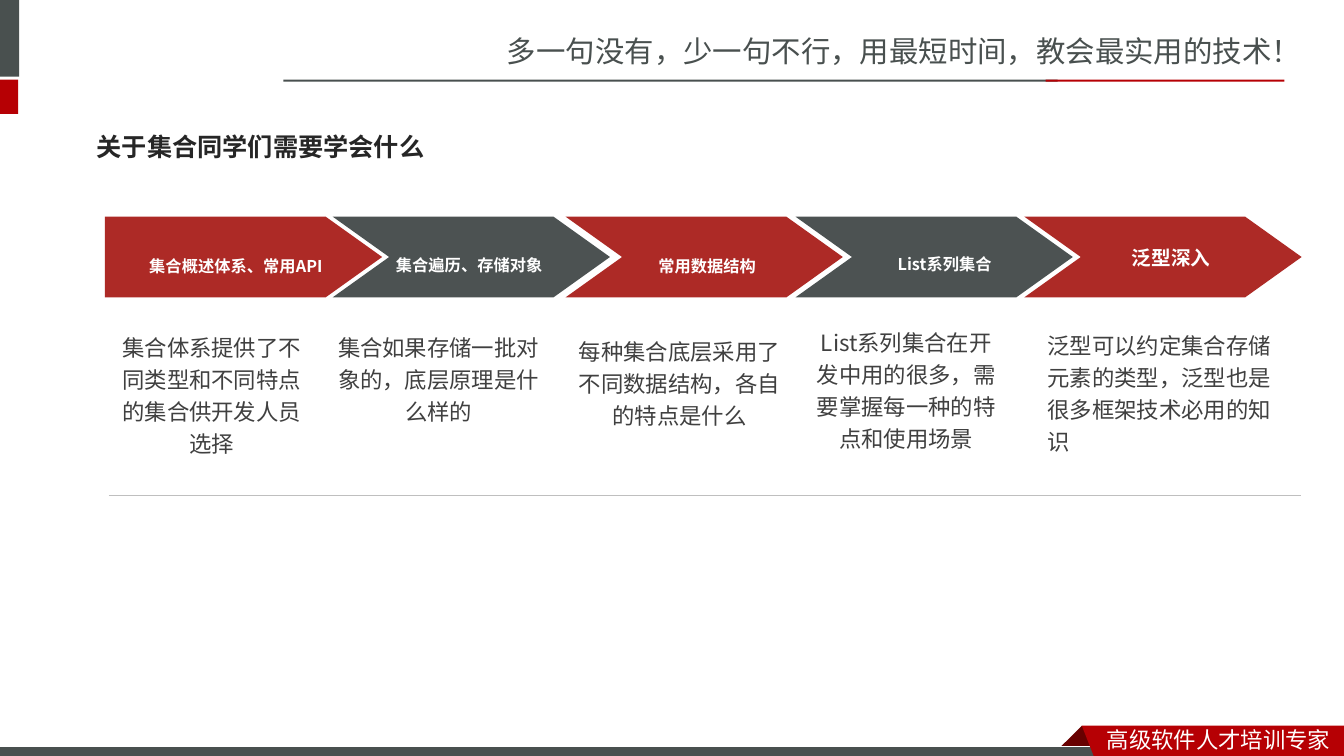
import pptx
import pptx.dml.color
import pptx.enum.shapes
import pptx.enum.text
import pptx.oxml.ns
import pptx.util
from lxml import etree

Inches = pptx.util.Inches
RGBColor = pptx.dml.color.RGBColor
ALIGN = pptx.enum.text.PP_ALIGN
ANCHOR = pptx.enum.text.MSO_ANCHOR

SLATE = RGBColor(0x49, 0x50, 0x4F)
CRIMSON = RGBColor(0xB6, 0x00, 0x04)
DARK_RED = RGBColor(0x68, 0x00, 0x00)
STEP_RED = RGBColor(0xAD, 0x2A, 0x26)
STEP_GRAY = RGBColor(0x4C, 0x52, 0x52)
BODY_GRAY = RGBColor(0x40, 0x40, 0x40)
HEADING_BLACK = RGBColor(0x26, 0x26, 0x26)
RULE_GRAY = RGBColor(0xBF, 0xBF, 0xBF)
WHITE = RGBColor(0xFF, 0xFF, 0xFF)

SANS_SC = "Noto Sans CJK SC"
SANS_JP = "Noto Sans CJK JP"

STEP_TOP, STEP_WIDTH, STEP_HEIGHT, STEP_TIP = 2.15, 2.75, 0.8, 0.56
LOWERED = {"size": 20, "baseline": -3000, "spacing": 1.2}
# Each step: left edge, label, label box, label format, text, text box, alignment
STEPS = [
    (1.04, "集合概述体系、常用API", (1.03, 2.37, 2.62, 0.36), LOWERED,
     "集合体系提供了不同类型和不同特点的集合供开发人员选择", (1.04, 3.21, 2.12, 1.38), ALIGN.CENTER),
    (3.3, "集合遍历、存储对象", (3.49, 2.36, 2.33, 0.36), LOWERED,
     "集合如果存储一批对象的，底层原理是什么样的", (3.2, 3.21, 2.3, 1.05), ALIGN.CENTER),
    (5.61, "常用数据结构", (5.28, 2.37, 3.47, 0.36), LOWERED,
     "每种集合底层采用了不同数据结构，各自的特点是什么", (5.59, 3.25, 2.3, 1.05), ALIGN.CENTER),
    (7.89, "List系列集合", (8.31, 2.4, 2.12, 0.33), {**LOWERED, "spacing": None},
     "List系列集合在开发中用的很多，需要掌握每一种的特点和使用场景", (7.96, 3.16, 2.06, 1.38), ALIGN.CENTER),
    (10.16, "泛型深入", (10.45, 2.35, 2.33, 0.37), {"size": 14, "spacing": 1.2},
     "泛型可以约定集合存储元素的类型，泛型也是很多框架技术必用的知识", (10.29, 3.19, 2.49, 1.38), ALIGN.LEFT),
]


def paint(shape, fill, line=None):
    shape.shadow.inherit = False
    shape.fill.solid()
    shape.fill.fore_color.rgb = fill
    if line is None:
        shape.line.fill.background()
    else:
        shape.line.color.rgb = line
        shape.line.width = pptx.util.Pt(0.75)


def add_bar(slide, box, fill, line=None):
    bar = slide.shapes.add_shape(pptx.enum.shapes.MSO_SHAPE.RECTANGLE, *map(Inches, box))
    paint(bar, fill, line)


def add_polygon(slide, left, top, points, fill):
    """Draw a closed outline whose points are offsets from left and top."""
    corners = [(Inches(left + x), Inches(top + y)) for x, y in points]
    builder = slide.shapes.build_freeform(*corners[0])
    builder.add_line_segments(corners[1:], close=True)
    paint(builder.convert_to_shape(), fill)


def add_text(slide, box, text, size, color, font=SANS_JP, bold=None,
             align=ALIGN.LEFT, anchor=ANCHOR.TOP, spacing=None, baseline=None):
    frame = slide.shapes.add_textbox(*map(Inches, box)).text_frame
    frame.word_wrap = True
    frame.vertical_anchor = anchor
    paragraph = frame.paragraphs[0]
    paragraph.alignment = align
    paragraph.line_spacing = spacing
    run = paragraph.add_run()
    run.text = text
    run.font.color.rgb = color
    formats = {"name": font, "size": pptx.util.Pt(size), "bold": bold}
    for attribute, value in formats.items():
        setattr(run.font, attribute, value)
    properties = run._r.get_or_add_rPr()
    etree.SubElement(properties, pptx.oxml.ns.qn("a:ea"), typeface=font)
    if baseline is not None:
        properties.set("baseline", str(baseline))


def add_header(slide, left, top, width):
    """Slogan, the two-colour rule under it and the blocks at the slide's corner."""
    add_text(slide, (left + 2.12, top + 0.28, 8.41, 0.47),
             "多一句没有，少一句不行，用最短时间，教会最实用的技术！", 21, SLATE, SANS_SC)
    add_bar(slide, (-0.06, top, 0.25, 0.76), SLATE)
    add_bar(slide, (-0.06, top + 0.79, 0.24, 0.34), CRIMSON)
    add_bar(slide, (left, top + 0.79, 7.68, 0.02), SLATE)
    add_bar(slide, (left + width - 2.37, top + 0.79, 2.37, 0.02), CRIMSON)


def add_footer(slide, left, top, width):
    """Ribbon with its folded corner, and the bar along the bottom edge."""
    add_polygon(slide, left, top,
                [(0, 0), (0.22, 0.22), (0.21, 0.23), (-0.21, 0.23), (-0.22, 0.22)], DARK_RED)
    add_bar(slide, (-0.01, top + 0.21, 11, 0.12), SLATE, WHITE)
    add_polygon(slide, left, top, [(0, 0), (width, 0), (width, 0.34), (0.13, 0.33)], CRIMSON)
    add_text(slide, (left + 0.15, top - 0.05, width - 0.15, 0.37),
             "高级软件人才培训专家", 16, WHITE, SANS_SC)


def add_steps(slide, top, width, height, tip):
    """Row of arrows in alternating colours, each with a text below."""
    for index, (left, label, label_box, label_format, text, text_box, align) in enumerate(STEPS):
        outline = [(0, 0), (width - tip, 0), (width, height / 2), (width - tip, height), (0, height)]
        if index > 0:
            outline.append((tip, height / 2))
        add_polygon(slide, left, top, outline, STEP_GRAY if index % 2 else STEP_RED)
        add_text(slide, text_box, text, 16, BODY_GRAY, align=align, spacing=1.2)
    # Labels come last because their boxes reach over the neighbouring arrows
    for left, label, label_box, label_format, *rest in STEPS:
        add_text(slide, label_box, label, color=WHITE, bold=True, align=ALIGN.CENTER,
                 anchor=ANCHOR.MIDDLE, **label_format)


def add_rule(slide, left, right, y):
    rule = slide.shapes.add_connector(pptx.enum.shapes.MSO_CONNECTOR.STRAIGHT,
                                      *map(Inches, (left, y, right, y)))
    rule.line.color.rgb = RULE_GRAY
    rule.line.width = pptx.util.Pt(0.25)
    etree.SubElement(rule._element.spPr, pptx.oxml.ns.qn("a:effectLst"))


def main():
    presentation = pptx.Presentation()
    presentation.slide_width = Inches(13.33)
    presentation.slide_height = Inches(7.5)
    slide = presentation.slides.add_slide(presentation.slide_layouts[6])
    add_header(slide, 2.81, 0, 9.93)
    add_footer(slide, 10.73, 7.2, 2.6)
    add_text(slide, (0.86, 1.17, 4.08, 0.57), "关于集合同学们需要学会什么", 18, HEADING_BLACK,
             "Courier New", bold=True, anchor=ANCHOR.MIDDLE)
    add_steps(slide, STEP_TOP, STEP_WIDTH, STEP_HEIGHT, STEP_TIP)
    add_rule(slide, 1.08, 12.9, 4.91)
    presentation.save("out.pptx")


if __name__ == "__main__":
    main()
